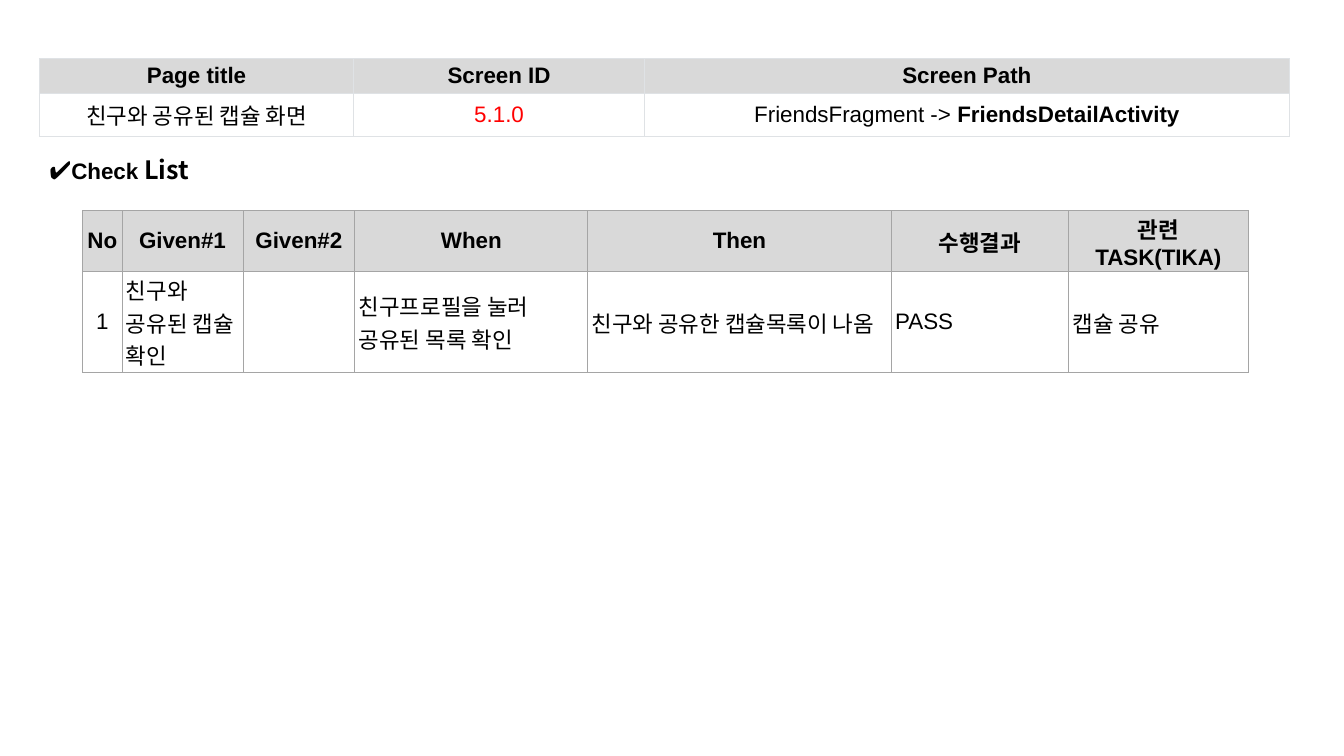
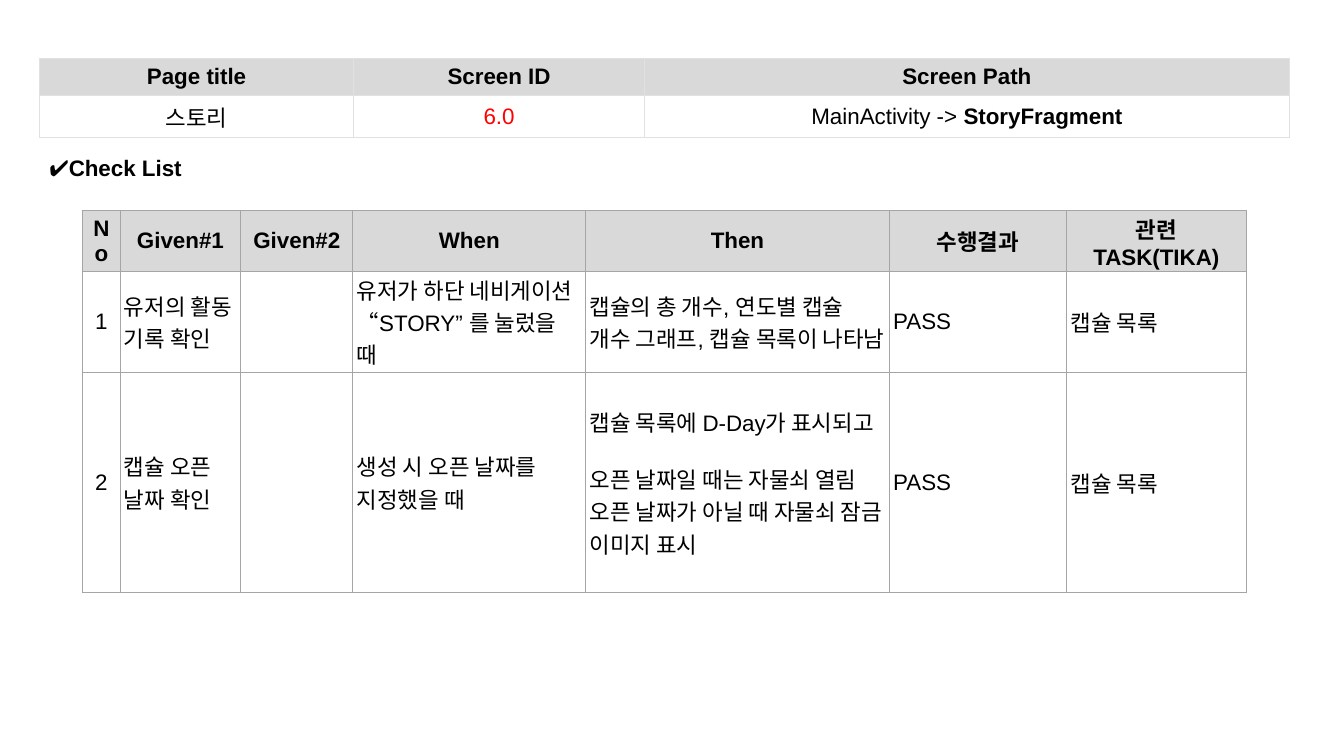
"""Build the screen test check lists, one slide per screen."""
from lxml.etree import SubElement
from pptx import Presentation
from pptx.dml.color import RGBColor
from pptx.enum.text import MSO_ANCHOR, PP_ALIGN
from pptx.oxml.ns import qn
from pptx.util import Inches, Pt

BLACK = RGBColor(0x00, 0x00, 0x00)
WHITE = RGBColor(0xFF, 0xFF, 0xFF)
RED = RGBColor(0xFF, 0x00, 0x00)
HEADER_GRAY = RGBColor(0xD9, 0xD9, 0xD9)
PAGE_BORDER = RGBColor(0xDF, 0xE2, 0xE5)
CHECK_BORDER = RGBColor(0xA5, 0xA5, 0xA5)
LATIN = "Arial"
KOREAN = "Noto Sans CJK KR"

PAGE_HEADER = ["Page title", "Screen ID", "Screen Path"]
PAGE_COLUMNS = [3.12, 2.88, 6.4]
PAGE_ROWS = [0.35, 0.42]
CHECK_HEADER = ["No", "Given#1", "Given#2", "When", "Then", "수행결과", "관련 TASK(TIKA)"]
CHECK_COLUMNS = [1.2, 1.11, 2.31, 3.01, 1.76, 1.78]
CHECK_HEADER_HEIGHT = 0.6

SCREENS = [
    {
        "title": "친구와 공유된 캡슐 화면",
        "id": "5.1.0",
        "parent": "FriendsFragment -> ",
        "screen": "FriendsDetailActivity",
        "heading": [("✔", 18, KOREAN), ("Check", 16, LATIN), (" List", 18, KOREAN)],
        "number_width": 0.39,
        "heights": [1.0],
        "checks": [
            ["친구와 공유된 캡슐 확인", "", "친구프로필을 눌러 공유된 목록 확인",
             "친구와 공유한 캡슐목록이 나옴", "PASS", "캡슐 공유"],
        ],
    },
    {
        "title": "스토리",
        "id": "6.0",
        "parent": "MainActivity -> ",
        "screen": "StoryFragment",
        "heading": [("✔Check List", 16, LATIN)],
        "number_width": 0.37,
        "heights": [1.0, 2.19],
        "checks": [
            ["유저의 활동 기록 확인", "", "유저가 하단 네비게이션 “STORY” 를 눌렀을 때",
             "캡슐의 총 개수, 연도별 캡슐 개수 그래프, 캡슐 목록이 나타남", "PASS", "캡슐 목록"],
            ["캡슐 오픈 날짜 확인", "", "생성 시 오픈 날짜를 지정했을 때",
             "캡슐 목록에 D-Day가 표시되고\n오픈 날짜일 때는 자물쇠 열림\n"
             "오픈 날짜가 아닐 때 자물쇠 잠금\n이미지 표시", "PASS", "캡슐 목록"],
        ],
    },
]


class CheckListDeck:
    """Hold the shared style and the current slide."""

    def __init__(self):
        self.deck = Presentation()
        self.deck.slide_width = Inches(13.33)
        self.deck.slide_height = Inches(7.5)
        self.slide = None

    def new_slide(self):
        self.slide = self.deck.slides.add_slide(self.deck.slide_layouts[6])

    def run(self, paragraph, text, size=16, face=LATIN, bold=False, color=BLACK):
        run = paragraph.add_run()
        run.text = text
        run.font.size = Pt(size)
        run.font.name = face
        run.font.bold = bold
        run.font.color.rgb = color
        SubElement(run.font._element, qn("a:ea"), typeface=KOREAN)

    def heading(self, parts):
        box = self.slide.shapes.add_textbox(Inches(0.39), Inches(1.48), Inches(1.85), Inches(0.4))
        box.text_frame.word_wrap = True
        for text, size, face in parts:
            self.run(box.text_frame.paragraphs[0], text, size, face, bold=True)

    def table(self, left, top, widths, heights, border, margins):
        frame = self.slide.shapes.add_table(
            len(heights), len(widths), Inches(left), Inches(top),
            Inches(sum(widths)), Inches(sum(heights)))
        table = frame.table
        table.first_row = table.horz_banding = False
        for column, width in zip(table.columns, widths):
            column.width = Inches(width)
        for index, (row, height) in enumerate(zip(table.rows, heights)):
            row.height = Inches(height)
            side, header_edge, body_edge = margins
            edge = body_edge if index else header_edge
            for cell in row.cells:
                self.border(cell, border)
                cell.fill.solid()
                cell.fill.fore_color.rgb = WHITE if index else HEADER_GRAY
                cell.vertical_anchor = MSO_ANCHOR.MIDDLE
                cell.margin_left = cell.margin_right = Inches(side)
                cell.margin_top = cell.margin_bottom = Inches(edge)
        return table

    def border(self, cell, color):
        properties = cell._tc.get_or_add_tcPr()
        for side in ("lnL", "lnR", "lnT", "lnB"):
            line = SubElement(properties, qn(f"a:{side}"), w=str(Pt(0.75)))
            fill = SubElement(line, qn("a:solidFill"))
            SubElement(fill, qn("a:srgbClr"), val=str(color))

    def cell(self, cell, *runs, align=PP_ALIGN.CENTER):
        paragraph = cell.text_frame.paragraphs[0]
        paragraph.alignment = align
        for text, style in runs:
            self.run(paragraph, text, **style)

    def header(self, table, labels):
        for cell, label in zip(table.rows[0].cells, labels):
            self.cell(cell, (label, {"bold": True}))

    def description(self, cell, text):
        for index, line in enumerate(text.split("\n") if text else []):
            frame = cell.text_frame
            paragraph = frame.add_paragraph() if index else frame.paragraphs[0]
            paragraph.alignment = PP_ALIGN.LEFT
            if index == 1:
                paragraph.space_before = Pt(18)
            self.run(paragraph, line)

    def check_table(self, screen):
        table = self.table(0.82, 2.09, [screen["number_width"], *CHECK_COLUMNS],
                           [CHECK_HEADER_HEIGHT, *screen["heights"]],
                           CHECK_BORDER, (0.04, 0.02, 0.01))
        self.header(table, CHECK_HEADER)
        for number, check in enumerate(screen["checks"], start=1):
            self.cell(table.cell(number, 0), (str(number), {}))
            for column, text in enumerate(check, start=1):
                self.description(table.cell(number, column), text)

    def page_table(self, screen):
        table = self.table(0.39, 0.58, PAGE_COLUMNS, PAGE_ROWS,
                           PAGE_BORDER, (0.11, 0.05, 0.05))
        self.header(table, PAGE_HEADER)
        self.cell(table.cell(1, 0), (screen["title"], {}))
        self.cell(table.cell(1, 1), (screen["id"], {"color": RED}))
        self.cell(table.cell(1, 2), (screen["parent"], {}), (screen["screen"], {"bold": True}))


def main():
    builder = CheckListDeck()
    for screen in SCREENS:
        builder.new_slide()
        builder.check_table(screen)
        builder.page_table(screen)
        builder.heading(screen["heading"])
    builder.deck.save("out.pptx")


if __name__ == "__main__":
    main()
